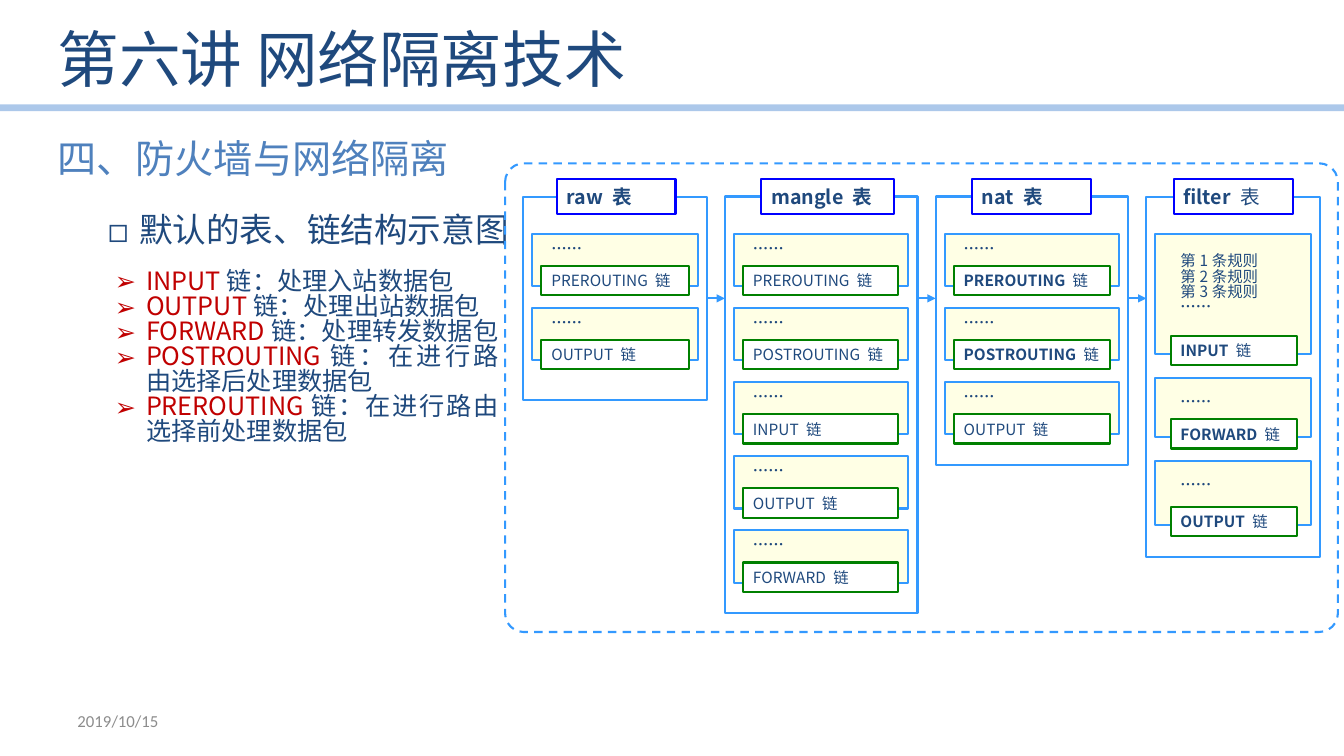
import dataclasses

import lxml.etree
import pptx
import pptx.dml.color
import pptx.enum.dml
import pptx.enum.shapes
import pptx.enum.text
import pptx.oxml.ns
import pptx.util
from pptx.util import Inches

CJK_FONT = "Noto Sans CJK SC"
COLORS = {
    "navy": "1F497D", "blue": "4F81BD", "red": "C00000", "grey": "8C8C8C",
    "rule": "8EB4E3", "table": "3399FF", "header": "0000FF",
    "chain": "008000", "cream": "FFFFCC", "white": "FFFFFF",
}
SHAPES = pptx.enum.shapes.MSO_SHAPE
MIDDLE = pptx.enum.text.MSO_ANCHOR.MIDDLE
TOP = pptx.enum.text.MSO_ANCHOR.TOP
JUSTIFY = pptx.enum.text.PP_ALIGN.JUSTIFY
LEFT = pptx.enum.text.PP_ALIGN.LEFT

TABLE_TOP = 1.95
FIRST_CHAIN_TOP = 2.32
CHAIN_STEP = 0.735
CHAIN_HEIGHT = 0.52
ARROW_TOP = 2.96
DOTS = "……"


@dataclasses.dataclass
class Chain:
    name: str
    bold: bool = False
    top: float = 0
    height: float = CHAIN_HEIGHT
    rules: tuple = (DOTS,)


@dataclasses.dataclass
class Table:
    name: str
    left: float
    width: float
    height: float
    header_left: float
    header_width: float
    label_inset: float
    label_width: float
    label_overlap: float
    chains: list
    bold_suffix: bool = True


def stacked(*chains):
    """Place chains of equal height one below another."""
    for index, chain in enumerate(chains):
        chain.top = FIRST_CHAIN_TOP + index * CHAIN_STEP
    return list(chains)


TABLES = [
    Table("raw", 5.19, 1.82, 2.02, 5.52, 1.18, 0.18, 1.46, 0.2,
          stacked(Chain("PREROUTING"), Chain("OUTPUT"))),
    Table("mangle", 7.19, 1.91, 4.13, 7.55, 1.32, 0.18, 1.54, 0.2,
          stacked(Chain("PREROUTING"), Chain("POSTROUTING"), Chain("INPUT"),
                  Chain("OUTPUT"), Chain("FORWARD"))),
    Table("nat", 9.28, 1.91, 2.66, 9.64, 1.18, 0.18, 1.55, 0.2,
          stacked(Chain("PREROUTING", True), Chain("POSTROUTING", True), Chain("OUTPUT"))),
    Table("filter", 11.37, 1.72, 3.58, 11.64, 1.18, 0.24, 1.25, 0.18,
          [Chain("INPUT", True, 2.32, 1.19, ("第1条规则", "第2条规则", "第3条规则", DOTS)),
           Chain("FORWARD", True, 3.75, 0.59),
           Chain("OUTPUT", True, 4.57, 0.64)],
          bold_suffix=False),
]

CHAIN_NOTES = [
    ("INPUT", "链：处理入站数据包"),
    ("OUTPUT", "链：处理出站数据包"),
    ("FORWARD", "链：处理转发数据包"),
    ("POSTROUTING", "链：在进行路由选择后处理数据包"),
    ("PREROUTING", "链：在进行路由选择前处理数据包"),
]


def rgb(color):
    return pptx.dml.color.RGBColor.from_string(COLORS[color])


def add_xml(parent, tag, **attributes):
    return lxml.etree.SubElement(parent, pptx.oxml.ns.qn(tag), attributes)


def format_span(span, size, color="navy", bold=False, font=CJK_FONT):
    span.font.size = pptx.util.Pt(size)
    span.font.bold = bold
    span.font.color.rgb = rgb(color)
    span.font.name = font
    add_xml(span.font._element, "a:ea", typeface=font)


def add_span(para, text, size, color="navy", bold=False):
    span = para.add_run()
    span.text = text
    format_span(span, size, color, bold)


def set_bullet(para, symbol, indent):
    properties = para._p.get_or_add_pPr()
    properties.set("marL", str(Inches(indent)))
    properties.set("indent", str(Inches(-0.31)))
    add_xml(properties, "a:buFont", typeface=CJK_FONT)
    add_xml(properties, "a:buChar", char=symbol)


def set_opacity(element, percent):
    for color in element.iter(pptx.oxml.ns.qn("a:srgbClr")):
        add_xml(color, "a:alpha", val=str(percent * 1000))


def add_text(page, left, top, width, height, anchor=MIDDLE):
    box = page.shapes.add_textbox(Inches(left), Inches(top), Inches(width), Inches(height))
    box.text_frame.word_wrap = True
    box.text_frame.vertical_anchor = anchor
    return box.text_frame


def add_line_of_text(page, area, text, size, color, font=CJK_FONT):
    frame = add_text(page, *area)
    frame.text = text
    format_span(frame.paragraphs[0].runs[0], size, color, font=font)


def add_box(page, left, top, width, height, line, fill="white", kind=SHAPES.RECTANGLE):
    box = page.shapes.add_shape(kind, Inches(left), Inches(top), Inches(width), Inches(height))
    box.shadow.inherit = False
    if fill:
        box.fill.solid()
        box.fill.fore_color.rgb = rgb(fill)
    else:
        box.fill.background()
    box.line.color.rgb = rgb(line)
    box.line.width = pptx.util.Pt(1.5)
    return box


def label_box(box, name, suffix, size, bold, bold_suffix):
    box.text_frame.vertical_anchor = MIDDLE
    para = box.text_frame.paragraphs[0]
    para.alignment = LEFT
    add_span(para, name + " ", size, bold=bold)
    add_span(para, suffix, size, bold=bold_suffix)


def add_line(page, start, end, top, color, width):
    line = page.shapes.add_connector(pptx.enum.shapes.MSO_CONNECTOR.STRAIGHT,
                                     Inches(start), Inches(top), Inches(end), Inches(top))
    line.line.color.rgb = rgb(color)
    line.line.width = pptx.util.Pt(width)
    add_xml(line._element.spPr, "a:effectLst")
    return line


def add_chain(page, table, chain):
    block = add_box(page, table.left + 0.09, chain.top, table.width - 0.18, chain.height,
                    "table", "cream")
    set_opacity(block._element.spPr.find(pptx.oxml.ns.qn("a:solidFill")), 50)

    label_left = table.left + table.label_inset
    many_rules = len(chain.rules) > 1
    rules_top = chain.top + (0.09 if table.name == "filter" else 0)
    frame = add_text(page, label_left, rules_top, 1.21 if many_rules else 1.03,
                     0.84 if many_rules else 0.29)
    frame.text = "\n".join(chain.rules)
    for para in frame.paragraphs:
        para.line_spacing = 0.83 if many_rules else 1.0
        format_span(para.runs[0], 11, bold=para.text == DOTS)

    label_top = chain.top + chain.height - table.label_overlap
    label = add_box(page, label_left, label_top, table.label_width, 0.29, "chain")
    label_box(label, chain.name, "链", 11, chain.bold, False)


def add_table_diagram(page, table):
    add_box(page, table.left, TABLE_TOP, table.width, table.height, "table")
    header = add_box(page, table.header_left, 1.78, table.header_width, 0.34, "header")
    label_box(header, table.name, "表", 14, True, table.bold_suffix)
    for chain in table.chains:
        add_chain(page, table, chain)


def add_arrow(page, source, target):
    arrow = add_line(page, source.left + source.width, target.left, ARROW_TOP, "table", 1.5)
    add_xml(arrow.line._get_or_add_ln(), "a:tailEnd", type="triangle")


def fill_placeholder(holder, area, text, size, anchor):
    holder.left, holder.top, holder.width, holder.height = map(Inches, area)
    holder.text_frame.text = text
    holder.text_frame.vertical_anchor = anchor
    para = holder.text_frame.paragraphs[0]
    format_span(para.runs[0], size)
    return para


def add_chain_notes(page):
    frame = add_text(page, 1.04, 2.63, 4.01, 2.52, TOP)
    for index, (name, note) in enumerate(CHAIN_NOTES):
        para = frame.add_paragraph() if index else frame.paragraphs[0]
        para.alignment = JUSTIFY
        para.line_spacing = 0.83
        set_bullet(para, "➢", 0.31)
        add_span(para, name, 18, "red")
        add_span(para, note, 18)


def main():
    deck = pptx.Presentation()
    deck.slide_width, deck.slide_height = Inches(13.33), Inches(7.5)
    page = deck.slides.add_slide(deck.slide_layouts[1])

    title = fill_placeholder(page.shapes.title, (0.47, 0.09, 11.02, 0.97),
                             "第六讲 网络隔离技术", 44, MIDDLE)
    title.alignment = LEFT
    topic = fill_placeholder(page.placeholders[1], (0.47, 2.02, 12.28, 4.41),
                             "默认的表、链结构示意图", 24, TOP)
    topic.level = 1
    topic.alignment = JUSTIFY
    topic.space_before = pptx.util.Pt(2)
    set_bullet(topic, "◻", 0.81)

    title_rule = add_line(page, 0, 13.33, 1.07, "rule", 4.75)
    set_opacity(title_rule._element.spPr, 73)
    add_line_of_text(page, (0.47, 1.28, 4.13, 0.57), "四、防火墙与网络隔离", 28, "blue")

    for table in TABLES:
        add_table_diagram(page, table)
    frame = add_box(page, 5.01, 1.62, 8.26, 4.65, "table", None, SHAPES.ROUNDED_RECTANGLE)
    frame.adjustments[0] = 0.04
    frame.line.dash_style = pptx.enum.dml.MSO_LINE.DASH
    for source, target in zip(TABLES, TABLES[1:]):
        add_arrow(page, source, target)

    add_chain_notes(page)
    add_line_of_text(page, (0.67, 6.95, 3.11, 0.4), "2019/10/15", 12, "grey", "Calibri")
    deck.save("out.pptx")


if __name__ == "__main__":
    main()
